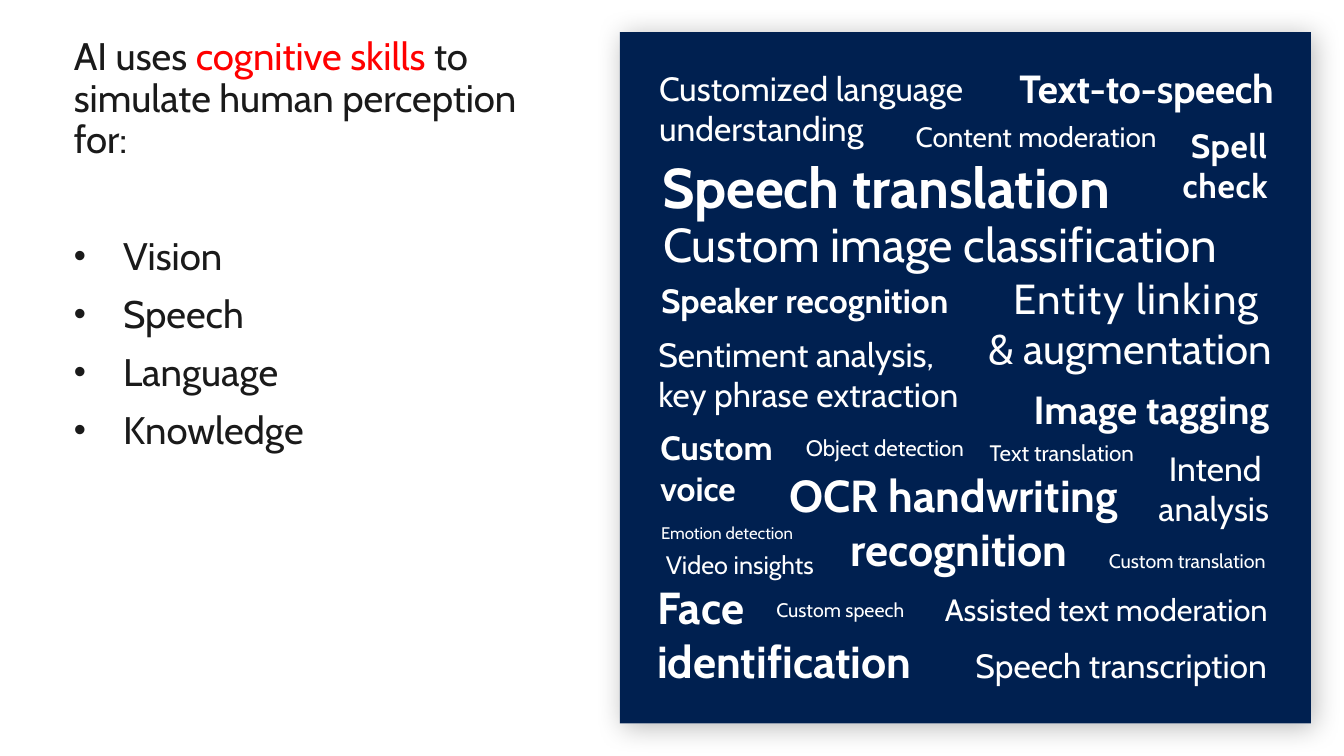
from dataclasses import dataclass
from typing import Any

from lxml.etree import SubElement
from pptx import Presentation
from pptx.dml.color import RGBColor
from pptx.enum.shapes import MSO_SHAPE
from pptx.enum.text import MSO_ANCHOR, MSO_AUTO_SIZE, PP_ALIGN
from pptx.oxml.ns import qn
from pptx.util import Cm, Pt

FONT = "Cabin"
NAVY, WHITE, INK, RED, BLACK = "002050", "FFFFFF", "1A1A1A", "FF0000", "000000"
LEFT, CENTER, RIGHT = PP_ALIGN.LEFT, PP_ALIGN.CENTER, PP_ALIGN.RIGHT
LINE_HEIGHT = 0.043
TEXT_SIZE = 27.4
PANEL = (15.62, 0.81, 17.42, 17.42)
SKILLS = ("Vision", "Speech", "Language", "Knowledge")


@dataclass(frozen=True)
class Phrase:
    text: str
    left: float
    top: float
    width: float
    size: float
    align: PP_ALIGN = LEFT
    bold: bool = False
    rows: int = 1
    spacing: tuple[int, ...] = ()


PHRASES = (
    Phrase("Content moderation", 22.76, 3.0, 6.71, 20, CENTER),
    Phrase("Object detection", 19.33, 10.95, 5.94, 16, CENTER),
    Phrase("OCR handwriting \nrecognition", 19.02, 11.79, 10.29, 32, CENTER, True, 2),
    Phrase("Video insights", 16.59, 13.84, 4.11, 18, CENTER),
    Phrase("Custom image classification", 16.71, 5.41, 16.38, 34),
    Phrase("Emotion detection", 16.66, 13.16, 3.84, 12),
    Phrase("Face identification", 16.56, 14.61, 8.2, 32, LEFT, True, 2),
    Phrase("Image tagging", 24.49, 9.7, 7.49, 28, RIGHT, True),
    Phrase("Custom speech", 19.18, 15.06, 3.61, 14, RIGHT),
    Phrase("Custom translation", 27.05, 13.84, 4.85, 14, RIGHT),
    Phrase("Custom \nvoice", 16.64, 10.77, 3.63, 24, LEFT, True, 2),
    Phrase("Speaker recognition", 16.66, 7.06, 8.53, 24, LEFT, True),
    Phrase("Speech transcription", 23.93, 16.26, 8.0, 24, RIGHT),
    Phrase("Speech translation", 16.69, 3.84, 12.93, 40, LEFT, True),
    Phrase("Text-to-speech", 24.33, 1.63, 7.77, 28, RIGHT, True, 1, (-20,)),
    Phrase("Assisted text moderation", 20.04, 14.88, 11.91, 22, RIGHT),
    Phrase("Customized language \nunderstanding", 16.61, 1.7, 9.12, 24, rows=2),
    Phrase("Sentiment analysis, \nkey phrase extraction", 16.59, 8.41, 8.66, 24, rows=2),
    Phrase("Spell check", 27.99, 3.15, 3.96, 24, RIGHT, True, 2, (50,)),
    Phrase("Text translation", 23.98, 11.07, 5.56, 16, CENTER),
    Phrase("Intend \nanalysis", 26.7, 11.28, 5.28, 24, RIGHT, rows=2),
    Phrase("Entity linking \n& augmentation", 23.39, 6.86, 8.66, 30, RIGHT, False, 2, (100, 0)),
)


def color(code: str) -> RGBColor:
    return RGBColor.from_string(code)


def apply(target: Any, values: dict[str, Any]) -> None:
    for name, value in values.items():
        setattr(target, name, value)


def add_span(para: Any, text: str, size: float, code: str, bold: bool = False) -> Any:
    span = para.add_run()
    span.text = text
    apply(span.font, {"name": FONT, "size": Pt(size), "bold": bold})
    span.font.color.rgb = color(code)
    return span


def margins(side: float, end: float) -> dict[str, Any]:
    return {
        "margin_left": Cm(side),
        "margin_right": Cm(side),
        "margin_top": Cm(end),
        "margin_bottom": Cm(end),
        "word_wrap": True,
        "vertical_anchor": MSO_ANCHOR.TOP,
    }


def add_panel(page: Any, code: str) -> Any:
    panel = page.shapes.add_shape(MSO_SHAPE.RECTANGLE, *map(Cm, PANEL))
    panel.fill.solid()
    panel.fill.fore_color.rgb = color(code)
    panel.line.fill.background()
    panel.shadow.inherit = False
    return panel


def add_shadow(panel: Any) -> None:
    effects = panel._element.spPr.find(qn("a:effectLst"))
    shadow = SubElement(
        effects, qn("a:outerShdw"), blurRad=str(Pt(20)), dist=str(Pt(4)),
        dir="2700000", algn="tl", rotWithShape="0",
    )
    tint = SubElement(shadow, qn("a:srgbClr"), val=BLACK)
    SubElement(tint, qn("a:alpha"), val="28000")


def add_phrase(cloud: Any, phrase: Phrase) -> None:
    height = phrase.rows * phrase.size * LINE_HEIGHT
    place = (phrase.left, phrase.top, phrase.width, height)
    box = cloud.shapes.add_textbox(*map(Cm, place))
    apply(box.text_frame, margins(0, 0) | {"auto_size": MSO_AUTO_SIZE.SHAPE_TO_FIT_TEXT})
    para = box.text_frame.paragraphs[0]
    para.alignment = phrase.align
    for index, line in enumerate(phrase.text.split("\n")):
        if index:
            para.add_line_break()
        span = add_span(para, line, phrase.size, WHITE, phrase.bold)
        if phrase.spacing:
            span.font._element.set("spc", str(phrase.spacing[index]))


def place_text(box: Any, top: float, height: float) -> Any:
    apply(box, {"left": Cm(1.35), "top": Cm(top), "width": Cm(12.78), "height": Cm(height)})
    apply(box.text_frame, margins(0.51, 0.41) | {"auto_size": MSO_AUTO_SIZE.NONE})
    return box.text_frame


def add_bullet(para: Any) -> None:
    properties = para._p.get_or_add_pPr()
    properties.set("marL", str(Cm(1.24)))
    properties.set("indent", str(Cm(-1.24)))
    SubElement(properties, qn("a:buSzPct"), val="90000")
    SubElement(properties, qn("a:buFont"), typeface="Arial")
    SubElement(properties, qn("a:buChar"), char="•")


def write_title(box: Any) -> None:
    para = place_text(box, 0.54, 4.0).paragraphs[0]
    apply(para, {"alignment": LEFT, "line_spacing": 0.9, "space_before": Pt(0)})
    for text, code in (
        ("AI uses ", INK),
        ("cognitive skills ", RED),
        ("to simulate human perception for:", INK),
    ):
        add_span(para, text, TEXT_SIZE, code)


def write_skills(box: Any) -> None:
    frame = place_text(box, 5.56, 6.35)
    for index, skill in enumerate(SKILLS):
        para = frame.add_paragraph() if index else frame.paragraphs[0]
        add_bullet(para)
        before = Pt(12 if index else 0)
        apply(para, {"alignment": LEFT, "line_spacing": 0.9, "space_before": before})
        add_span(para, skill, TEXT_SIZE, INK)


def main() -> None:
    deck = Presentation()
    apply(deck, {"slide_width": Cm(33.87), "slide_height": Cm(19.05)})
    page = deck.slides.add_slide(deck.slide_layouts[1])
    write_title(page.shapes.title)
    write_skills(page.placeholders[1])
    add_shadow(add_panel(page, WHITE))
    add_panel(page, NAVY)
    cloud = page.shapes.add_group_shape()
    for phrase in PHRASES:
        add_phrase(cloud, phrase)
    deck.save("out.pptx")


if __name__ == "__main__":
    main()
